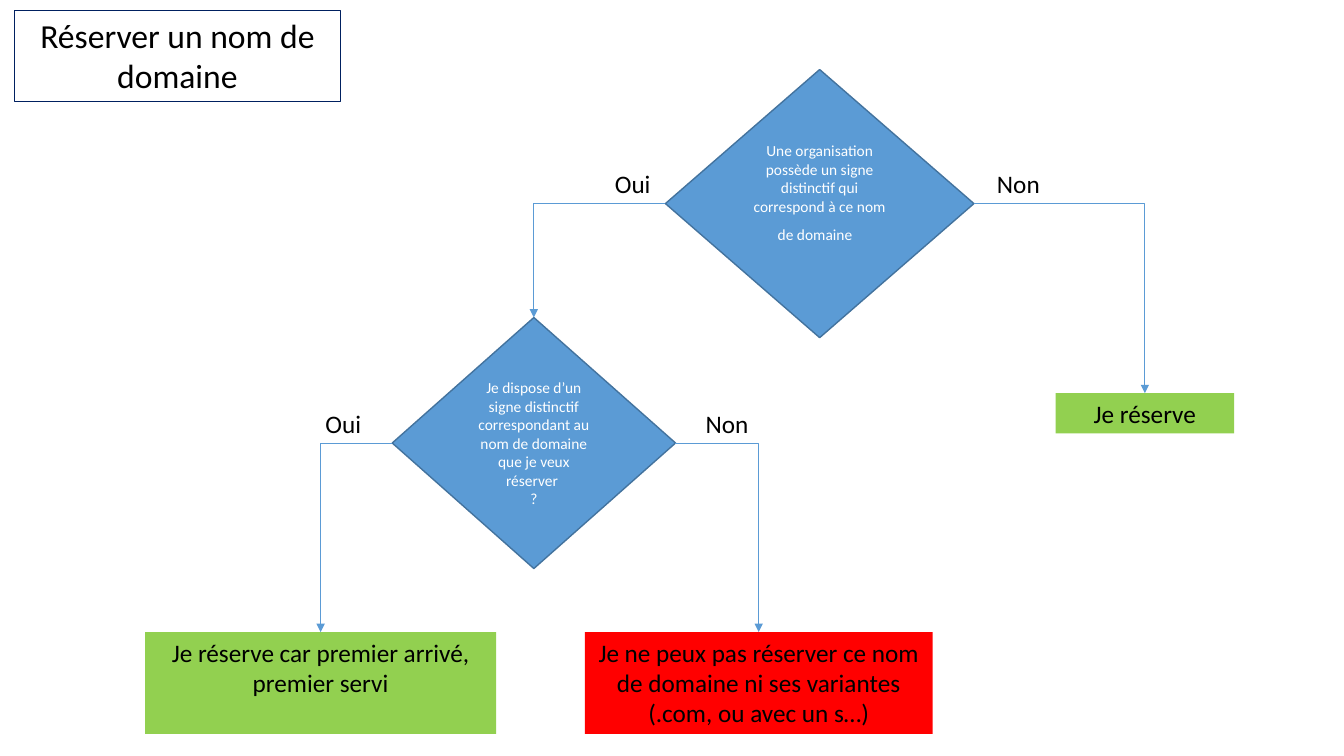
"""Decision flowchart: may I reserve a domain name?"""
from lxml import etree
from pptx import Presentation
from pptx import util as u
from pptx.dml.color import RGBColor
from pptx.enum import shapes, text
from pptx.oxml.ns import qn

PX = 9144
BLUE, GREEN, RED = "5B9BD5", "92D050", "FF0000"
WHITE, BLACK = "FFFFFF", "000000"
TOP, MIDDLE = text.MSO_ANCHOR.TOP, text.MSO_ANCHOR.MIDDLE
LEFT, CENTER = text.PP_ALIGN.LEFT, text.PP_ALIGN.CENTER
FIT, FIXED = text.MSO_AUTO_SIZE.SHAPE_TO_FIT_TEXT, text.MSO_AUTO_SIZE.NONE


def rgb(value):
    return RGBColor.from_string(value)


def write(shape, paragraphs, size, color, align, anchor=TOP, fit=FIT):
    frame = shape.text_frame
    frame_format = {"word_wrap": True, "vertical_anchor": anchor, "auto_size": fit}
    for key, value in frame_format.items():
        setattr(frame, key, value)
    for i, wording in enumerate(paragraphs):
        paragraph = frame.add_paragraph() if i else frame.paragraphs[0]
        paragraph.alignment = align
        run = paragraph.add_run()
        run.text = wording
        for key, value in {"name": "Calibri", "size": u.Pt(size)}.items():
            setattr(run.font, key, value)
        run.font.color.rgb = rgb(color)


deck = Presentation()
deck.slide_width, deck.slide_height = 1333 * PX, 750 * PX
slide = deck.slides.add_slide(deck.slide_layouts[6])

DIAMOND, RECT = shapes.MSO_SHAPE.DIAMOND, shapes.MSO_SHAPE.RECTANGLE
question = {"size": 11, "color": WHITE, "align": CENTER, "fit": FIXED}
answer = {"size": 18, "color": BLACK, "align": CENTER}
steps = {
    "own_sign": (DIAMOND, (389, 315, 281, 249), BLUE, ("43739E", 1), [
        "Je dispose d’un signe distinctif correspondant au nom de domaine que je veux réserver ",
        "?"], question | {"anchor": MIDDLE}),
    "other_sign": (DIAMOND, (660, 69, 306, 266), BLUE, ("43739E", 1), [
        "Une organisation possède un signe distinctif qui correspond à ce nom de domaine "],
        question),
    "first_come": (RECT, (144, 627, 348, 101), GREEN, None,
                   ["Je réserve car premier arrivé, premier servi"], answer),
    "reserve": (RECT, (1047, 390, 177, 40), GREEN, None, ["Je réserve"], answer),
    "refused": (RECT, (580, 627, 345, 101), RED, None, [
        "Je ne peux pas réserver ce nom de domaine ni ses variantes (.com, ou avec un s…)"],
        answer),
    "title": (RECT, (14, 10, 324, 91), None, ("002060", 0.75),
              ["Réserver un nom de domaine"], answer | {"size": 24}),
}
placed = {}
for step, (preset, box, fill, outline, wording, style) in steps.items():
    shape = slide.shapes.add_shape(preset, *[n * PX for n in box])
    shape.shadow.inherit = False
    if fill:
        shape.fill.solid()
        shape.fill.fore_color.rgb = rgb(fill)
    else:
        shape.fill.background()
    if outline:
        shape.line.color.rgb = rgb(outline[0])
        shape.line.width = u.Pt(outline[1])
    else:
        shape.line.fill.background()
    write(shape, wording, **style)
    placed[step] = shape

spacer = placed["other_sign"].text_frame.paragraphs[0].add_run()
spacer.text = " "
for key, value in {"name": "Calibri", "size": u.Pt(18)}.items():
    setattr(spacer.font, key, value)

branches = [
    ("other_sign", 1, "own_sign", "Oui", (600, 162, 60, 40)),
    ("other_sign", 3, "reserve", "Non", (979, 162, 76, 40)),
    ("own_sign", 1, "first_come", "Oui", (313, 400, 60, 40)),
    ("own_sign", 3, "refused", "Non", (690, 400, 76, 40)),
]
for source, side, target, reply, box in branches:
    start, end = placed[source], placed[target]
    arrow = slide.shapes.add_connector(
        shapes.MSO_CONNECTOR.ELBOW,
        start.left + (start.width if side == 3 else 0), start.top + start.height // 2,
        end.left + end.width // 2, end.top)
    arrow.begin_connect(start, side)
    arrow.end_connect(end, 0)
    arrow.line.color.rgb = rgb(BLUE)
    arrow.line.width = u.Pt(0.5)
    properties = arrow._element.spPr
    properties.find(qn("a:prstGeom")).set("prst", "bentConnector2")
    etree.SubElement(properties.find(qn("a:ln")), qn("a:tailEnd"), type="triangle")
    etree.SubElement(properties, qn("a:effectLst"))
    label = slide.shapes.add_textbox(*[n * PX for n in box])
    write(label, [reply], 18, BLACK, LEFT)

deck.save("out.pptx")
